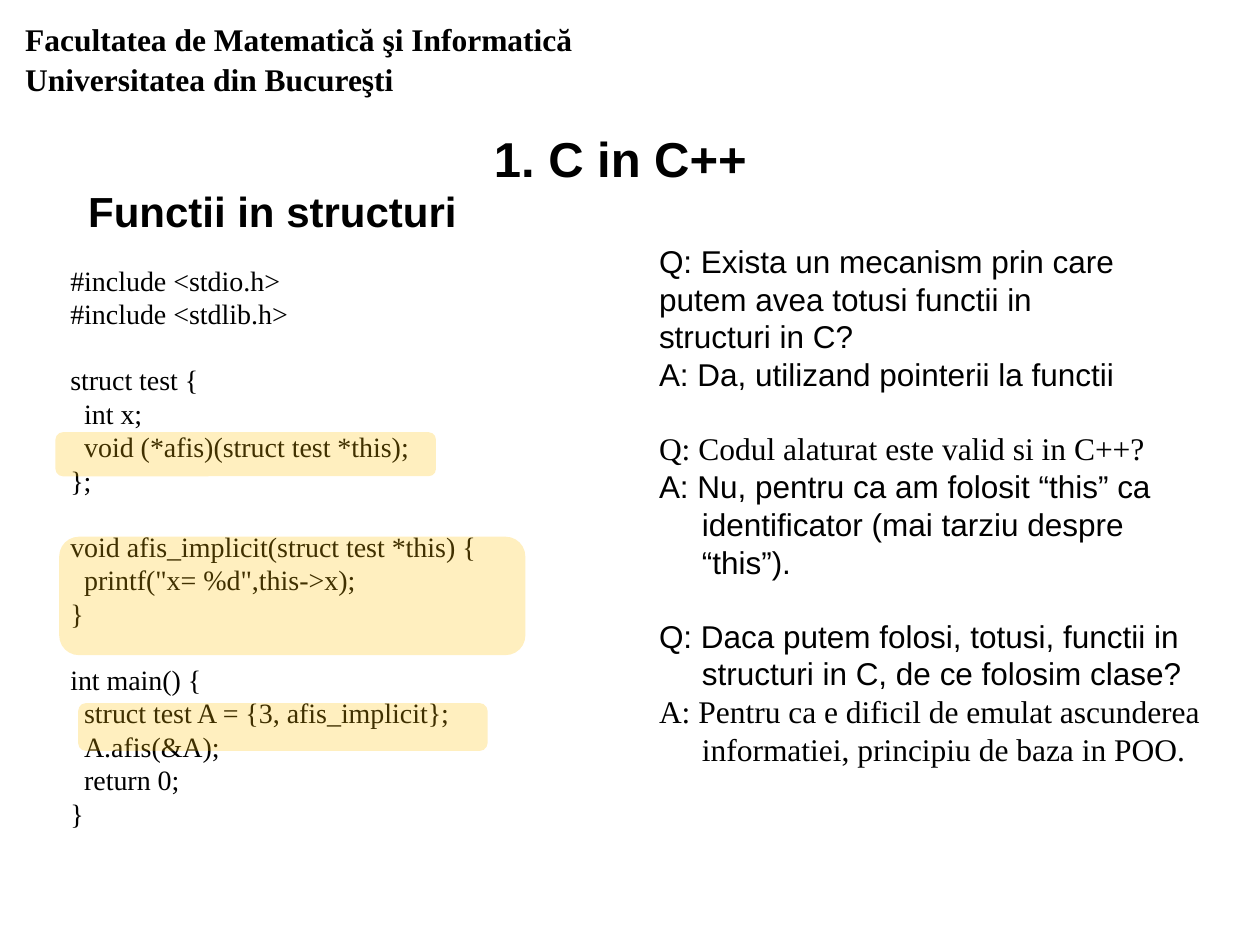
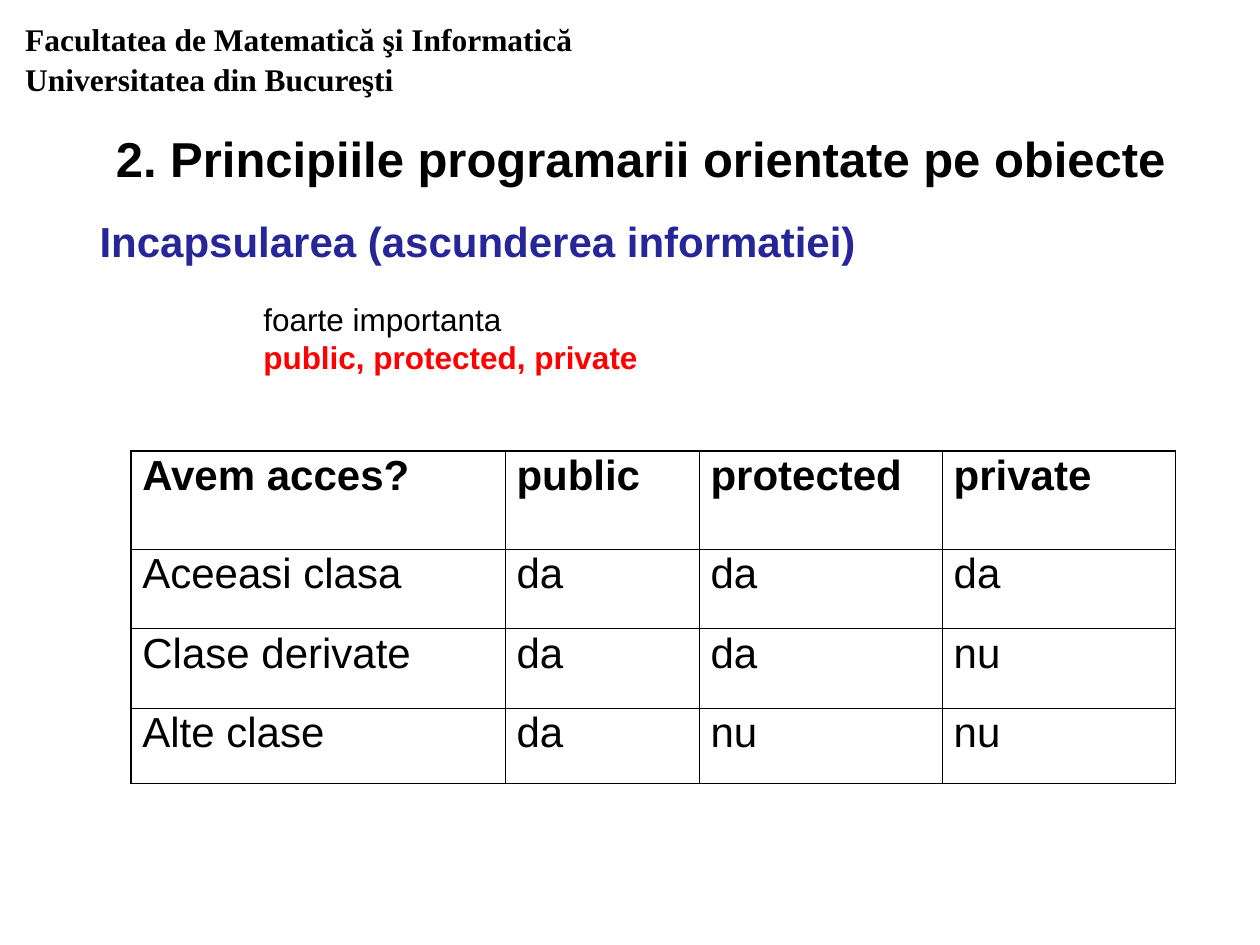
from lxml import etree
from pptx import Presentation
from pptx import util as u
from pptx.dml import color
from pptx.enum import shapes
from pptx.oxml import ns

SANS, SERIF = "Arial", "Times New Roman"
BLACK, BLUE, RED, AMBER = "000000", "262699", "FF0000", "FFC000"
HEADER = "Facultatea de Matematică şi Informatică Universitatea din Bucureşti"

HEADER_STYLE = {"name": SERIF, "size": 18, "bold": True}
TITLE_STYLE = {"name": SANS, "size": 28, "bold": True}
SUBTITLE_STYLE = {"name": SANS, "size": 24, "bold": True}
BODY_STYLE = {"name": SANS, "size": 18}
CODE_STYLE = {"name": SERIF, "size": 16}
LINE_HEIGHT = 1.15
CODE_INDENT = 0.11
HANGING = {"margin": 0.34, "first": -0.34}

CODE = [
    ["#include <stdio.h>", "#include <stdlib.h>"],
    ["struct test {", "\tint x;", "\tvoid (*afis)(struct test *this);", "};"],
    ["void afis_implicit(struct test *this) {", '\tprintf("x= %d",this->x);', "}"],
    ["int main() {", "\tstruct test A = {3, afis_implicit};", "\tA.afis(&A);",
     "\treturn 0;", "}"],
]
HIGHLIGHTS = [(0.44, 3.43, 3.02, 0.35), (0.47, 4.26, 3.7, 0.94), (0.62, 5.58, 3.25, 0.38)]
QUESTIONS = [
    [("Q: Exista un mecanism prin care", SANS),
     ("putem avea totusi functii in", SANS),
     ("structuri in C?", SANS),
     ("A: Da, utilizand pointerii la functii", SANS)],
    [("Q: Codul alaturat este valid si in C++?", SERIF),
     ("A: Nu, pentru ca am folosit “this” ca identificator (mai tarziu despre “this”).", SANS)],
    [("Q: Daca putem folosi, totusi, functii in structuri in C, de ce folosim clase?", SANS),
     ("A: Pentru ca e dificil de emulat ascunderea informatiei, principiu de baza in POO.", SERIF)],
]
ACCESS = [
    ["Avem acces?", "public", "protected", "private"],
    ["Aceeasi clasa", "da", "da", "da"],
    ["Clase derivate", "da", "da", "nu"],
    ["Alte clase", "da", "nu", "nu"],
]
COLUMN_WIDTHS = [2.97, 1.54, 1.93, 1.85]
ROW_HEIGHTS = [0.78, 0.63, 0.63, 0.6]


def rgb(value):
    return color.RGBColor.from_string(value)


def inches(values):
    return [u.Inches(value) for value in values]


def write(para, words, style, ink=BLACK, spacing=None, before=0, margin=0, first=0):
    span = para.add_run()
    span.text = words
    formats = {**style, "size": u.Pt(style["size"])}
    for key, value in formats.items():
        setattr(span.font, key, value)
    span.font.color.rgb = rgb(ink)
    para.line_spacing = spacing
    para.space_before = u.Pt(before)
    properties = para._p.get_or_add_pPr()
    for key, value in {"marL": margin, "indent": first}.items():
        properties.set(key, str(u.Inches(value)))


def add_text(holder, place, paragraphs, inset=(0.09, 0.04)):
    frame = holder.add_textbox(*inches(place)).text_frame
    frame.word_wrap = True
    across, down = inches(inset)
    for key, value in {"margin_left": across, "margin_right": across,
                       "margin_top": down, "margin_bottom": down}.items():
        setattr(frame, key, value)
    for index, options in enumerate(paragraphs):
        para = frame.add_paragraph() if index else frame.paragraphs[0]
        write(para, **options)


def stanza_gap(stanza, line, size):
    return size * LINE_HEIGHT if stanza and not line else 0


def add_page(title, place, margin=0):
    page = deck.slides.add_slide(deck.slide_layouts[6])
    add_text(page.shapes, (0.09, 0.09, 5.51, 0.72),
             [{"words": HEADER, "style": HEADER_STYLE, "spacing": 1.04}], (0.11, 0.06))
    add_text(page.shapes, place,
             [{"words": title, "style": TITLE_STYLE, "spacing": 1.5, "margin": margin}])
    return page


def add_highlight(holder, place):
    band = holder.add_shape(shapes.MSO_SHAPE.ROUNDED_RECTANGLE, *inches(place))
    band.shadow.inherit = False
    band.line.fill.background()
    band.fill.solid()
    band.fill.fore_color.rgb = rgb(AMBER)
    tint = band._element.spPr.find(".//" + ns.qn("a:srgbClr"))
    etree.SubElement(tint, ns.qn("a:alpha"), val="25000")


def add_borders(cell, widths):
    properties = cell._tc.get_or_add_tcPr()
    for side, width in widths.items():
        line = etree.SubElement(properties, ns.qn("a:ln" + side), w=str(u.Pt(width)))
        fill = etree.SubElement(line, ns.qn("a:solidFill"))
        etree.SubElement(fill, ns.qn("a:srgbClr"), val=BLACK)


def add_access_table(page, left, top):
    size = sum(COLUMN_WIDTHS), sum(ROW_HEIGHTS)
    table = page.shapes.add_table(len(ACCESS), len(ACCESS[0]),
                                  *inches((left, top, *size))).table
    table.first_row = table.horz_banding = False
    for column, width in zip(table.columns, COLUMN_WIDTHS):
        column.width = u.Inches(width)
    for row, height in zip(table.rows, ROW_HEIGHTS):
        row.height = u.Inches(height)
    thin, thick = 0.75, 1.25
    last = len(COLUMN_WIDTHS) - 1
    for y, values in enumerate(ACCESS):
        for x, value in enumerate(values):
            cell = table.cell(y, x)
            cell.margin_left = cell.margin_right = u.Inches(0.09)
            cell.margin_top = cell.margin_bottom = u.Inches(0.05)
            write(cell.text_frame.paragraphs[0], value,
                  {**SUBTITLE_STYLE, "bold": y == 0}, spacing=0.89)
            add_borders(cell, {"L": thin if x else thick,
                               "R": thick if x == last else thin,
                               "T": thin if y else thick, "B": thin})
            cell.fill.background()


deck = Presentation()
deck.slide_width, deck.slide_height = inches((10, 7.5))

page = add_page("1. C in C++", (2.92, 0.75, 3.45, 0.65), margin=0.91)
add_text(page.shapes, (0.61, 1.42, 3.56, 0.45),
         [{"words": "Functii in structuri", "style": SUBTITLE_STYLE, "spacing": 1.04}])
add_text(page.shapes, (5.14, 1.87, 4.49, 5.01),
         [{"words": words, "style": {**BODY_STYLE, "name": font},
           "before": stanza_gap(stanza, line, BODY_STYLE["size"]), **HANGING}
          for stanza, lines in enumerate(QUESTIONS)
          for line, (words, font) in enumerate(lines)], (0.09, 0.05))
listing = page.shapes.add_group_shape().shapes
add_text(listing, (0.46, 2.04, 4.26, 4.85),
         [{"words": words.lstrip("\t"), "style": CODE_STYLE,
           "before": stanza_gap(stanza, line, CODE_STYLE["size"]),
           "margin": CODE_INDENT * words.count("\t")}
          for stanza, lines in enumerate(CODE)
          for line, words in enumerate(lines)], (0.1, 0.05))
for place in HIGHLIGHTS:
    add_highlight(listing, place)

page = add_page("2. Principiile programarii orientate pe obiecte", (0.83, 0.75, 8.83, 0.65))
add_text(page.shapes, (0.7, 1.67, 8.68, 0.58),
         [{"words": "Incapsularea (ascunderea informatiei)", "style": SUBTITLE_STYLE,
           "ink": BLUE}])
add_text(page.shapes, (2, 2.33, 5.08, 0.91),
         [{"words": "foarte importanta", "style": BODY_STYLE},
          {"words": "public, protected, private", "style": {**BODY_STYLE, "bold": True},
           "ink": RED}], (0.09, 0.05))
add_access_table(page, 1.04, 3.58)

deck.save("out.pptx")
